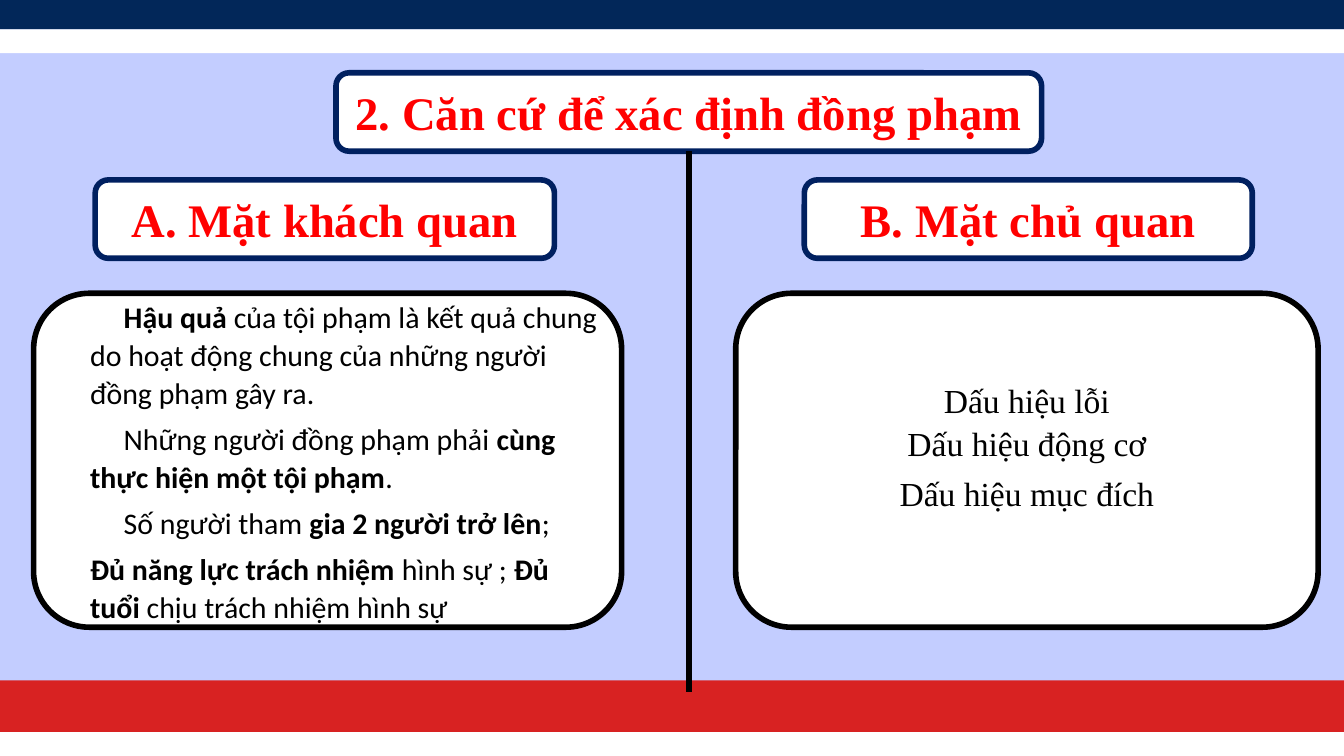
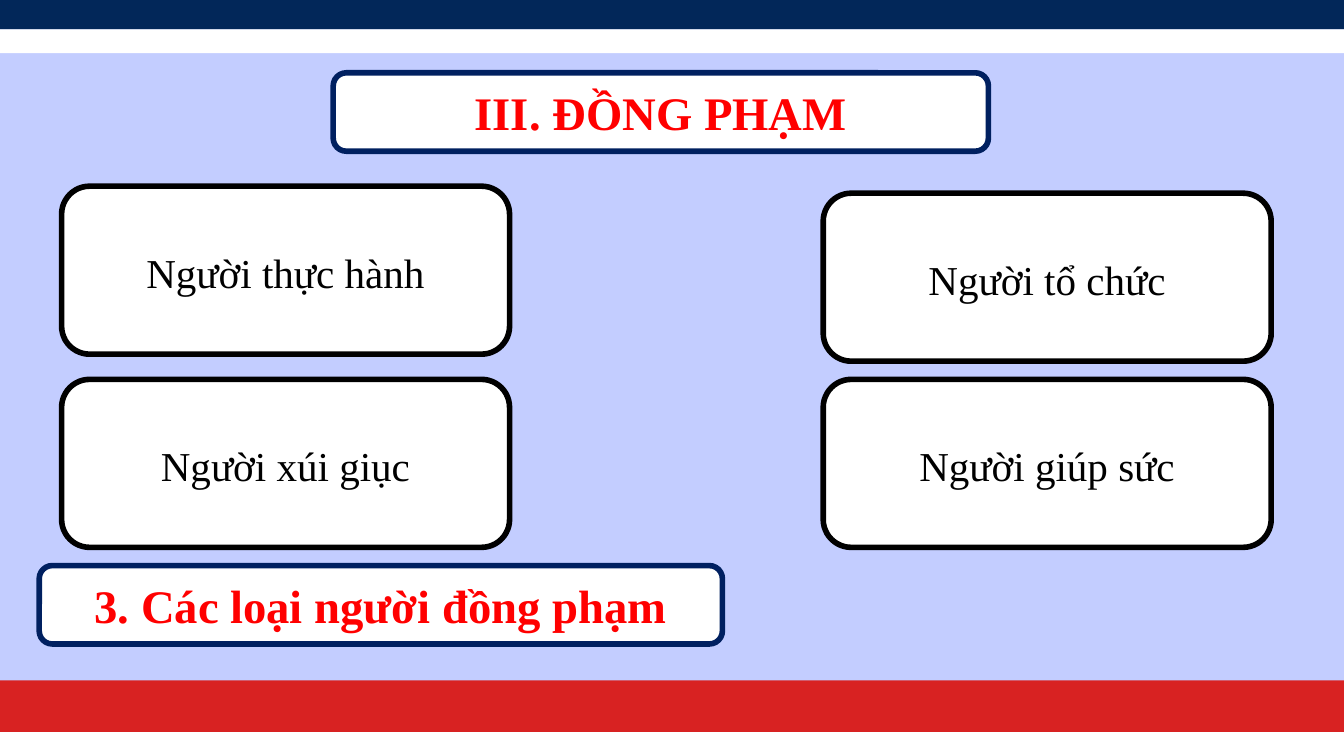
"""Build two slides on complicity in crime."""
from pptx import Presentation
from pptx.dml.color import RGBColor
from pptx.enum.shapes import MSO_CONNECTOR as LINK, MSO_SHAPE as SHAPE
from pptx.enum.text import MSO_ANCHOR as ANCHOR, MSO_AUTO_SIZE as FIT, PP_ALIGN as ALIGN
from pptx.oxml.ns import qn
from pptx.util import Pt
from lxml.etree import SubElement

PX = 9525
COLORS = {"back": "C3CDFF", "red": "D82222", "dark": "022759", "white": "FFFFFF",
          "navy": "002060", "black": "000000", "head": "FF0000"}
SERIF, SANS = "Times New Roman", "Calibri"
BANDS = [("red", -64, 972, 2018, 136), ("dark", -40, -9, 2018, 51),
         ("white", -34, 42, 1987, 34), ("white", -34, 1046, 2011, 65)]
HEAD_TOP, HEAD_H = 104, 112
RESULTS = [
    "\t*Hậu quả *của tội phạm là kết quả chung do hoạt động chung "
    "của những người đồng phạm gây ra.",
    "\tNhững người đồng phạm phải *cùng thực hiện một tội phạm*.",
    "\tSố người tham *gia 2 người trở lên*;",
    "*Đủ năng lực trách nhiệm *hình sự ; *Đủ tuổi* chịu trách nhiệm hình sự",
]
SIGNS = ["Dấu hiệu lỗi", "Dấu hiệu động cơ", "Dấu hiệu mục đích"]
ROLES = [("Người thực hành", 88, 266), ("Người tổ chức", 1176, 276),
         ("Người xúi giục", 88, 542), ("Người giúp sức", 1176, 542)]


def color(name):
    """Return a named colour."""
    return RGBColor.from_string(COLORS[name])


def scale(*sizes):
    """Turn px into EMU."""
    return [size * PX for size in sizes]


def style(para, size, face, tint, bold=None):
    """Set the font of a paragraph."""
    font = para.font
    font.size, font.name, font.bold = Pt(size), face, bold
    font.color.rgb = color(tint)


def block(slide, kind, fill, box, edge=None):
    """Add a filled shape, outlined if an edge colour is given."""
    shape = slide.shapes.add_shape(kind, *scale(*box))
    shape.shadow.inherit = False
    shape.fill.solid()
    shape.fill.fore_color.rgb = color(fill)
    if edge:
        shape.line.color.rgb = color(edge)
        shape.line.width = Pt(6)
    else:
        shape.line.fill.background()
    return shape


def head(frame, text):
    """Write a bold red heading."""
    frame.text = text
    frame.word_wrap = True
    frame.vertical_anchor = ANCHOR.MIDDLE
    para = frame.paragraphs[0]
    para.alignment = ALIGN.CENTER
    style(para, 50, SERIF, "head", True)


def label(slide, text, left, top, width):
    """Add a heading in a navy frame."""
    shape = block(slide, SHAPE.ROUNDED_RECTANGLE, "white",
                  (left, top, width, HEAD_H), "navy")
    head(shape.text_frame, text)


def card(slide, lines, box, size, face=SERIF, align=ALIGN.CENTER, inset=0):
    """Add a black-framed card; text between asterisks is bold."""
    shape = block(slide, SHAPE.ROUNDED_RECTANGLE, "white", box, "black")
    frame = shape.text_frame
    frame.vertical_anchor = ANCHOR.MIDDLE
    for i, line in enumerate(lines):
        para = frame.add_paragraph() if i else frame.paragraphs[0]
        para.alignment = align
        para.line_spacing, para.space_after = 1.07, Pt(8)
        if inset:
            props = para._p.get_or_add_pPr()
            props.set("marL", str(inset * PX))
            props.set("indent", "0")
        style(para, size, face, "black")
        for j, part in enumerate(line.split("*")):
            if part:
                run = para.add_run()
                run.text = part
                if j % 2:
                    run.font.bold = True
    return frame


def rule(slide, left, top, end):
    """Draw a thick vertical line."""
    line = slide.shapes.add_connector(LINK.STRAIGHT, *scale(left, top, left, end))
    line.line.color.rgb = color("black")
    line.line.width = Pt(6)
    SubElement(line._element.spPr, qn("a:effectLst"))


def start(deck, text, left, width):
    """Add a slide with its bands and framed title."""
    slide = deck.slides.add_slide(deck.slide_layouts[5])
    slide.background.fill.solid()
    slide.background.fill.fore_color.rgb = color("back")
    for fill, *box in BANDS:
        block(slide, SHAPE.RECTANGLE, fill, box)
    box = (left, HEAD_TOP, width, HEAD_H)
    block(slide, SHAPE.ROUNDED_RECTANGLE, "white", box, "navy")
    title = slide.shapes.title
    title.left, title.top, title.width, title.height = scale(*box)
    head(title.text_frame, text)
    title.text_frame.auto_size = FIT.NONE
    slide.shapes._spTree.append(title._element)
    return slide


def grounds(deck):
    """Build the slide on the two sides of complicity."""
    slide = start(deck, "2. Căn cứ để xác định đồng phạm", 480, 1008)
    rule(slide, 984, HEAD_TOP + HEAD_H, 988)
    label(slide, "B. Mặt chủ quan", 1149, 257, 640)
    label(slide, "A. Mặt khách quan", 136, 257, 656)
    card(slide, RESULTS, (48, 419, 840, 477), 32, SANS, ALIGN.LEFT, 48)
    frame = card(slide, SIGNS, (1051, 419, 832, 477), 36)
    frame.margin_bottom = 44 * PX
    first = frame.paragraphs[0]
    first.line_spacing = first.space_after = None


def roles(deck):
    """Build the slide on the four kinds of accomplice."""
    slide = start(deck, "III. ĐỒNG PHẠM", 476, 936)
    label(slide, "3. Các loại người đồng phạm", 56, 808, 976)
    for text, left, top in ROLES:
        card(slide, [text], (left, top, 640, 240), 44)


def main():
    """Build and save the deck."""
    deck = Presentation()
    deck.slide_width, deck.slide_height = scale(1920, 1080)
    grounds(deck)
    roles(deck)
    deck.save("out.pptx")


if __name__ == "__main__":
    main()
